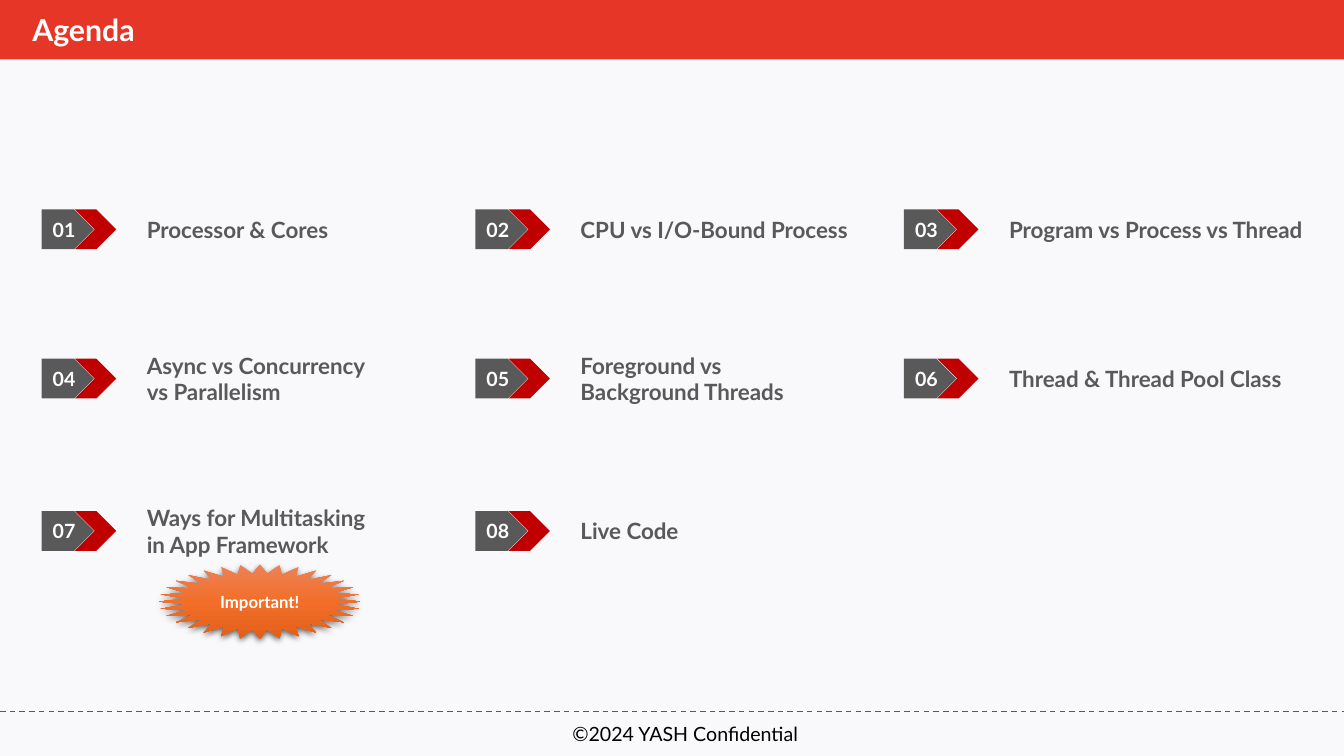
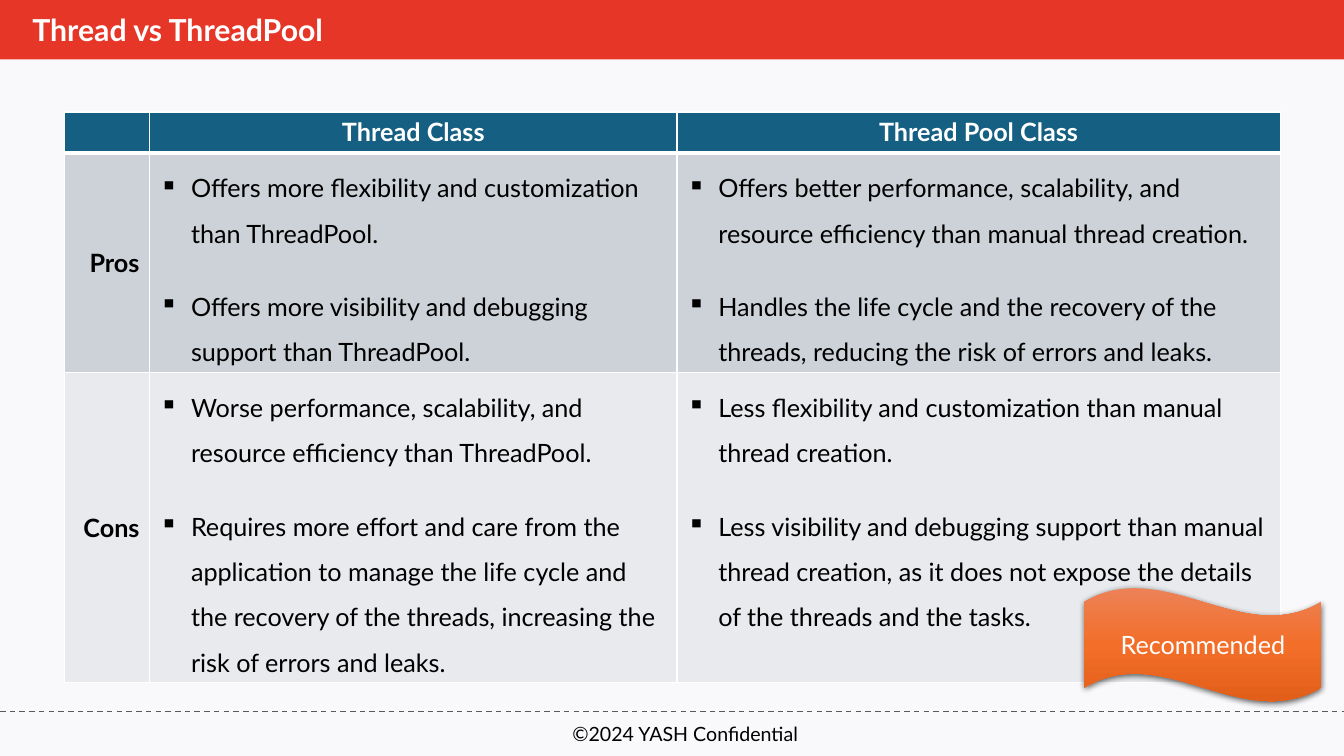
"""Build two slides on threads: an agenda and a comparison table."""
import copy

import lxml.etree
import pptx
import pptx.dml.color
import pptx.enum.dml
import pptx.enum.shapes
import pptx.enum.text
import pptx.oxml
import pptx.oxml.ns
import pptx.util

Cm = pptx.util.Cm
Pt = pptx.util.Pt
Shape = pptx.enum.shapes.MSO_SHAPE
Align = pptx.enum.text.PP_ALIGN
Anchor = pptx.enum.text.MSO_ANCHOR
qn = pptx.oxml.ns.qn

FONT = "Lato"
COLORS = {
    "page": "F9F9FB",
    "band": "E63627",
    "gray": "595959",
    "arrow": "C00000",
    "white": "FFFFFF",
    "black": "000000",
    "header": "156082",
    "pros": "CCD2D8",
    "cons": "E8EAED",
}
CALLOUT_STOPS = [(0, "ED8257"), (0.5, "F26E29"), (1, "E25F1A")]
SHADOW = (
    f'<a:outerShdw {pptx.oxml.ns.nsdecls("a")} blurRad="57150" dist="19050" dir="5400000" '
    'algn="ctr" rotWithShape="0"><a:srgbClr val="000000"><a:alpha val="63000"/>'
    "</a:srgbClr></a:outerShdw>"
)

COLUMN_LEFTS = [1.05, 11.98, 22.78]
ROW_TOPS = [5.28, 9.04, 12.88]
AGENDA = [
    ("Processor & Cores", 8.1),
    ("CPU vs I/O-Bound Process", 7.5),
    ("Program vs Process vs Thread", 8.1),
    ("Async vs Concurrency vs Parallelism", 6.4),
    ("Foreground vs Background Threads", 7),
    ("Thread & Thread Pool Class", 8.1),
    ("Ways for Multitasking in App Framework", 6.2),
    ("Live Code", 7),
]

COMPARISON = {
    "Pros": [
        [
            "Offers more flexibility and customization than ThreadPool.",
            "Offers more visibility and debugging support than ThreadPool.",
        ],
        [
            "Offers better performance, scalability, and resource efficiency than manual thread creation.",
            "Handles the life cycle and the recovery of the threads, reducing the risk of errors and leaks.",
        ],
    ],
    "Cons": [
        [
            "Worse performance, scalability, and resource efficiency than ThreadPool.",
            "Requires more effort and care from the application to manage the life cycle and "
            "the recovery of the threads, increasing the risk of errors and leaks.",
        ],
        [
            "Less flexibility and customization than manual thread creation.",
            "Less visibility and debugging support than manual thread creation, as it does not "
            "expose the details of the threads and the tasks.",
        ],
    ],
}


def rgb(value):
    """Turn a hex string into a colour."""
    return pptx.dml.color.RGBColor.from_string(value)


def write(frame, text, size=18, color="black", bold=False, align=Align.LEFT, bullet=None, before=0):
    """Add one formatted paragraph, reusing an empty first one."""
    para = frame.add_paragraph() if frame.text else frame.paragraphs[0]
    para.alignment = align
    if before:
        para.space_before = Pt(before)
    if bullet:
        para.line_spacing = 1.5
        properties = para._p.get_or_add_pPr()
        properties.set("marL", str(Cm(0.79)))
        properties.set("indent", str(-Cm(0.79)))
        lxml.etree.SubElement(properties, qn("a:buChar"), char=bullet)
    span = para.add_run()
    span.text = text
    span.font.name = FONT
    span.font.size = Pt(size)
    span.font.bold = bold
    span.font.color.rgb = rgb(COLORS[color])


class Slides:
    """Hold the deck, its style and the current page."""

    def __init__(self):
        """Start a widescreen deck."""
        self.deck = pptx.Presentation()
        self.deck.slide_width, self.deck.slide_height = Cm(33.87), Cm(19.05)
        self.page = None

    def add_page(self, title):
        """Add a page with background, band, title and footer."""
        self.page = self.deck.slides.add_slide(self.deck.slide_layouts[5])
        background = self.page.background.fill
        background.solid()
        background.fore_color.rgb = rgb(COLORS["page"])
        self.add_shape(Shape.RECTANGLE, 0, 0, 33.87, 1.5, "band")
        self.add_rule(17.93)
        self.add_text("©2024 YASH Confidential", 13.46, 18.06, 7.62, 0.86, size=14, align=Align.CENTER)
        holder = self.page.shapes.title
        holder.left, holder.top, holder.width, holder.height = Cm(0.56), Cm(0.13), Cm(20.6), Cm(1.22)
        frame = holder.text_frame
        frame.auto_size = pptx.enum.text.MSO_AUTO_SIZE.NONE
        frame.vertical_anchor = Anchor.MIDDLE
        write(frame, title, size=21.6, color="white", bold=True)
        self.page.shapes.element.append(holder.element)

    def add_shape(self, kind, left, top, width, height, color=None):
        """Add a preset shape without outline or shadow."""
        shape = self.page.shapes.add_shape(kind, Cm(left), Cm(top), Cm(width), Cm(height))
        shape.shadow.inherit = False
        shape.line.fill.background()
        if color:
            shape.fill.solid()
            shape.fill.fore_color.rgb = rgb(COLORS[color])
        return shape

    def add_rule(self, top):
        """Add a dashed line across the page."""
        rule = self.page.shapes.add_connector(
            pptx.enum.shapes.MSO_CONNECTOR.STRAIGHT, 0, Cm(top), self.deck.slide_width, Cm(top)
        )
        rule.line.color.rgb = rgb(COLORS["gray"])
        rule.line.width = Pt(1)
        rule.line.dash_style = pptx.enum.dml.MSO_LINE.DASH
        lxml.etree.SubElement(rule.element.spPr, qn("a:effectLst"))

    def add_text(self, text, left, top, width, height, **style):
        """Add a wrapped, vertically centred text box."""
        box = self.page.shapes.add_textbox(Cm(left), Cm(top), Cm(width), Cm(height))
        box.text_frame.word_wrap = True
        box.text_frame.vertical_anchor = Anchor.MIDDLE
        write(box.text_frame, text, **style)

    def add_agenda_item(self, number, text, left, top, width):
        """Add a numbered arrow with its label."""
        plate = self.add_shape(Shape.PENTAGON, left, top, 1.32, 1, "gray")
        frame = plate.text_frame
        frame.margin_left, frame.margin_right = Cm(0.28), 0
        frame.vertical_anchor = Anchor.MIDDLE
        write(frame, f"{number:02}", size=14, color="white", bold=True)
        self.add_shape(Shape.CHEVRON, left + 0.84, top, 1.04, 1, "arrow")
        self.add_text(text, left + 2.4, top - 0.3, width, 1.6, size=16, color="gray", bold=True)

    def add_callout(self, kind, text, left, top, width, height, **style):
        """Add a shaded orange shape with centred text."""
        shape = self.add_shape(kind, left, top, width, height)
        shape.fill.gradient()
        shape.fill.gradient_angle = 270
        stop_list = shape.element.spPr.find(".//" + qn("a:gsLst"))
        stop_list.append(copy.deepcopy(stop_list[-1]))
        for stop, (position, color) in zip(shape.fill.gradient_stops, CALLOUT_STOPS):
            stop.position = position
            stop.color.rgb = rgb(color)
        shape.element.spPr.find(qn("a:effectLst")).append(pptx.oxml.parse_xml(SHADOW))
        shape.text_frame.vertical_anchor = Anchor.MIDDLE
        write(shape.text_frame, text, color="white", align=Align.CENTER, **style)

    def add_comparison(self, headings, sections, left, top, widths, heights):
        """Add a table with a heading row and bulleted cells."""
        holder = self.page.shapes.add_table(
            len(heights), len(widths), Cm(left), Cm(top), Cm(sum(widths)), Cm(sum(heights))
        )
        table = holder.table
        table.horz_banding = False
        for column, width in zip(table.columns, widths):
            column.width = Cm(width)
        for row, height in zip(table.rows, heights):
            row.height = Cm(height)
        for index, heading in enumerate(headings, 1):
            write(table.cell(0, index).text_frame, heading, color="white", bold=True, align=Align.CENTER)
        for row, (name, columns) in enumerate(sections.items(), 1):
            label = table.cell(row, 0)
            label.vertical_anchor = Anchor.MIDDLE
            write(label.text_frame, name, bold=True, align=Align.RIGHT)
            for column, points in enumerate(columns, 1):
                for index, point in enumerate(points):
                    write(table.cell(row, column).text_frame, point, bullet="▪", before=20 * index)
        for row, color in zip(table.rows, ["header", "pros", "cons"]):
            for cell in row.cells:
                cell.fill.solid()
                cell.fill.fore_color.rgb = rgb(COLORS[color])
        for index, properties in enumerate(holder.element.iter(qn("a:tcPr"))):
            row = index // len(widths)
            thick = {0: "a:lnB", 1: "a:lnT"}.get(row)
            for place, side in enumerate(["a:lnL", "a:lnR", "a:lnT", "a:lnB"]):
                edge = lxml.etree.Element(qn(side), w=str(Pt(3 if side == thick else 1)))
                fill = lxml.etree.SubElement(edge, qn("a:solidFill"))
                lxml.etree.SubElement(fill, qn("a:srgbClr"), val=COLORS["white"])
                properties.insert(place, edge)


def main():
    """Build and save the deck."""
    slides = Slides()
    slides.add_page("Agenda")
    for index, (text, width) in enumerate(AGENDA):
        row, column = divmod(index, len(COLUMN_LEFTS))
        slides.add_agenda_item(index + 1, text, COLUMN_LEFTS[column], ROW_TOPS[row], width)
    slides.add_callout(Shape.STAR_32_POINT, "Important!", 4.01, 14.22, 5.08, 1.88, size=12, bold=True)

    slides.add_page("Thread vs ThreadPool")
    slides.add_comparison(
        ["Thread Class", "Thread Pool Class"], COMPARISON, 1.63, 2.82, [2.14, 13.29, 15.2], [1.02, 5.5, 7.8]
    )
    slides.add_callout(Shape.WAVE, "Recommended", 27.33, 14.81, 5.97, 2.87)
    slides.deck.save("out.pptx")


if __name__ == "__main__":
    main()
